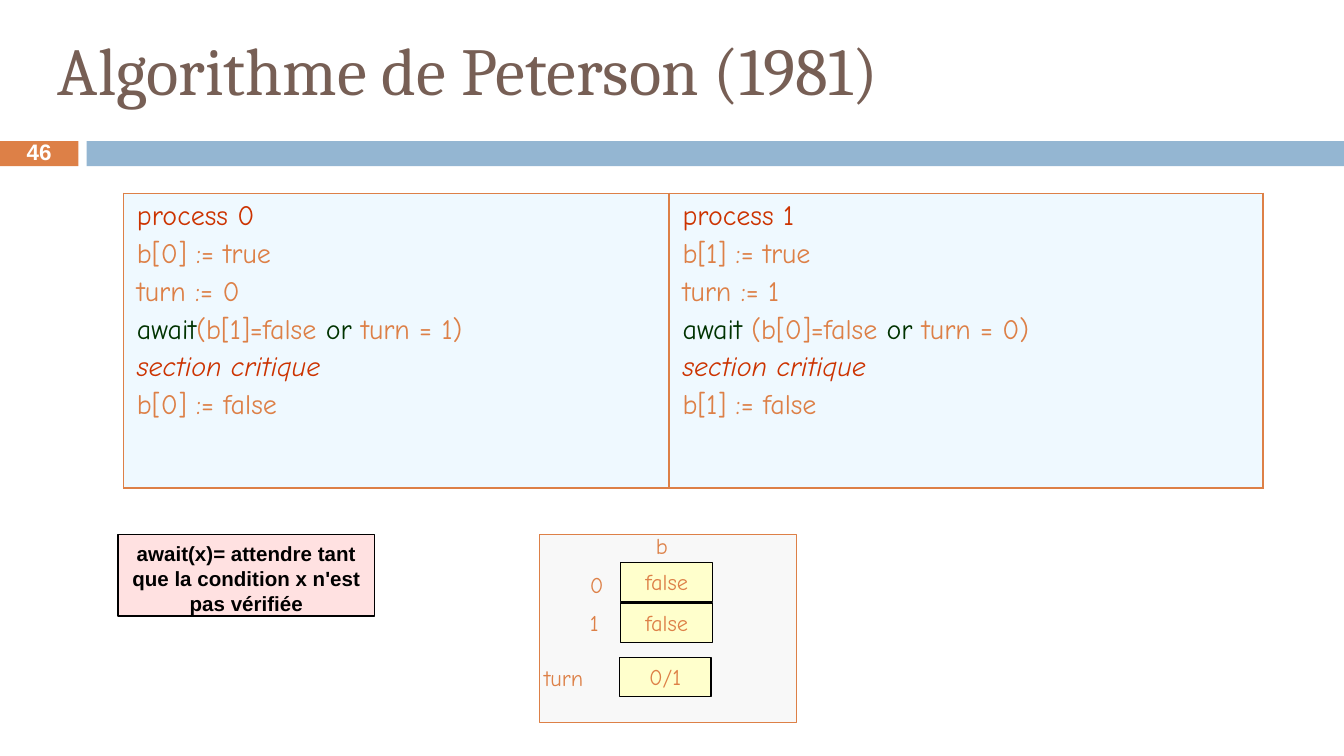
"""Build the slide on Peterson's mutual exclusion algorithm."""
from typing import NamedTuple, Optional

from lxml.etree import SubElement
from pptx import Presentation
from pptx.dml.color import RGBColor
from pptx.enum.shapes import MSO_SHAPE as Shape
from pptx.enum.text import MSO_ANCHOR as Anchor, MSO_AUTO_SIZE as AutoSize, PP_ALIGN as Align
from pptx.oxml.ns import qn
from pptx.util import Pt

ORANGE, BLUE, BROWN = "DD8047", "94B6D2", "775F55"
RED, GREEN, BLACK, WHITE = "CC3300", "003300", "000000", "FFFFFF"
CODE_FONT = "Comic Neue"


class Box(NamedTuple):
    left: float
    top: float
    width: float
    height: float


class Style(NamedTuple):
    size: float
    font: str = CODE_FONT
    color: str = ORANGE
    bold: bool = False


class Item(NamedTuple):
    text: str
    box: Box


class Process(NamedTuple):
    number: int
    await_word: str
    width: float


CODE, SMALL = Style(15), Style(12)
PROCESSES = [Process(0, "await", 292.3), Process(1, "await ", 318.2)]
LABELS = [
    Item("b", Box(344.2, 281.5, 25.2, 21.6)),
    Item("0", Box(308.9, 302.4, 25.2, 21.6)),
    Item("1", Box(308.9, 322.6, 22.3, 21.6)),
    Item("turn", Box(284.4, 352.1, 50.4, 21.6)),
]
VALUES = [
    Item("false", Box(332.6, 301.3, 49.2, 21)),
    Item("false", Box(332.6, 323.1, 49.2, 21)),
    Item("0/1", Box(331.8, 352.1, 49.2, 21)),
]


def rgb(color: str) -> RGBColor:
    return RGBColor.from_string(color)


def points(box: Box) -> list:
    return [Pt(v) for v in box]


def set_font(font, style: Style) -> None:
    font.size, font.name, font.bold = Pt(style.size), style.font, style.bold
    font.color.rgb = rgb(style.color)


def write(sp, text: str, style: Style, align=Align.LEFT, anchor=Anchor.TOP) -> None:
    tf = sp.text_frame
    tf.word_wrap, tf.auto_size, tf.vertical_anchor = True, AutoSize.NONE, anchor
    p = tf.paragraphs[0]
    p.text, p.alignment = text, align
    set_font(p.font, style)


def add_rect(s, box: Box, fill: str, line: Optional[str] = None):
    sp = s.shapes.add_shape(Shape.RECTANGLE, *points(box))
    sp.shadow.inherit = False
    sp.fill.solid()
    sp.fill.fore_color.rgb = rgb(fill)
    if line:
        sp.line.color.rgb, sp.line.width = rgb(line), Pt(0.75)
    else:
        sp.line.fill.background()
    return sp


def add_label(s, item: Item) -> None:
    write(s.shapes.add_textbox(*points(item.box)), item.text, SMALL)


def add_value(s, item: Item) -> None:
    write(add_rect(s, item.box, "FFFFCC", BLACK), item.text, SMALL, Align.CENTER, Anchor.MIDDLE)


def set_borders(cell, color: str, width: float) -> None:
    tc_pr = cell._tc.get_or_add_tcPr()
    for i, side in enumerate(("lnL", "lnR", "lnT", "lnB")):
        ln = SubElement(tc_pr, qn(f"a:{side}"), w=str(Pt(width)))
        SubElement(SubElement(ln, qn("a:solidFill")), qn("a:srgbClr"), val=color)
        tc_pr.insert(i, ln)


def code_lines(process: Process) -> list:
    me, other = process.number, 1 - process.number
    return [
        [(f"process {me}", RED)],
        [(f"b[{me}] := true", ORANGE)],
        [(f"turn := {me}", ORANGE)],
        [(process.await_word, GREEN), (f"(b[{other}]=false ", ORANGE),
         ("or", GREEN), (f" turn = {other})", ORANGE)],
        [("section critique", RED)],
        [(f"b[{me}] := false", ORANGE)],
    ]


def fill_cell(cell, process: Process) -> None:
    cell.fill.solid()
    cell.fill.fore_color.rgb = rgb("EFF9FF")
    set_borders(cell, ORANGE, 1)
    tf = cell.text_frame
    for i, line in enumerate(code_lines(process)):
        p = tf.add_paragraph() if i else tf.paragraphs[0]
        p.space_before = Pt(3 if i else 0)
        set_font(p.font, CODE)
        p.font.italic = line[0][0] == "section critique"
        for text, color in line:
            r = p.add_run()
            r.text = text
            r.font.color.rgb = rgb(color)


def add_code_table(s) -> None:
    box = Box(66.2, 103.6, sum(p.width for p in PROCESSES), 157.7)
    table = s.shapes.add_table(1, len(PROCESSES), *points(box)).table
    table.first_row = table.horz_banding = False
    for i, process in enumerate(PROCESSES):
        table.columns[i].width = Pt(process.width)
        fill_cell(table.cell(0, i), process)


def main() -> None:
    prs = Presentation()
    prs.slide_width, prs.slide_height = Pt(720), Pt(405)
    s = prs.slides.add_slide(prs.slide_layouts[5])

    title = s.shapes.title
    title.left, title.top, title.width, title.height = points(Box(23.8, 11.5, 612, 50.4))
    write(title, "Algorithme de Peterson (1981)", Style(36, "Cambria", BROWN), anchor=Anchor.MIDDLE)

    number = add_rect(s, Box(0, 75.6, 42, 13.5), ORANGE)
    write(number, "46", Style(12, "Arial", WHITE, True), Align.CENTER, Anchor.MIDDLE)
    number.text_frame.paragraphs[0].line_spacing = 0.8
    add_rect(s, Box(46.5, 75.6, 673.5, 13.5), BLUE)

    add_code_table(s)

    add_rect(s, Box(288.9, 286.4, 138, 100.8), "F8F8F8", ORANGE)
    for item in VALUES:
        add_value(s, item)
    for item in LABELS:
        add_label(s, item)

    note = add_rect(s, Box(63.2, 286.4, 137.5, 43.7), "FFE1E1", BLACK)
    write(note, "await(x)= attendre tant que la condition x n'est pas vérifiée",
          Style(11, "Arial", BLACK, True), Align.CENTER)

    prs.save("out.pptx")


if __name__ == "__main__":
    main()
